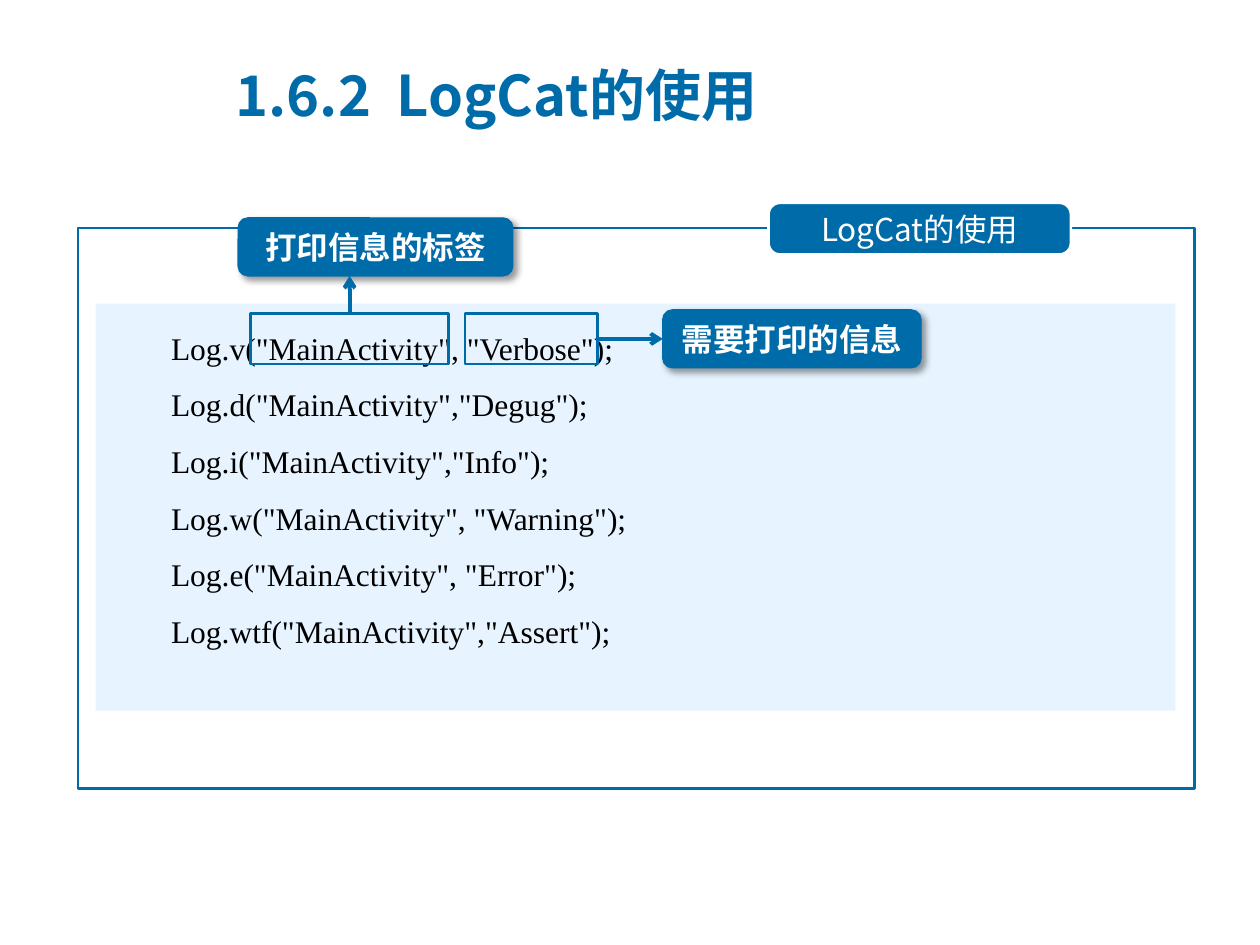
"""Build the LogCat usage slide with a code panel and two labelled callouts."""
import pptx
import pptx.util
from lxml import etree
from pptx.dml.color import RGBColor
from pptx.enum.shapes import MSO_CONNECTOR, MSO_SHAPE
from pptx.enum.text import MSO_ANCHOR, MSO_AUTO_SIZE, PP_ALIGN
from pptx.oxml.ns import qn

BLUE = RGBColor(0x00, 0x6B, 0xA9)
PALE = RGBColor(0xE7, 0xF4, 0xFF)
WHITE = RGBColor(0xFF, 0xFF, 0xFF)
BLACK = RGBColor(0x00, 0x00, 0x00)
SANS, SERIF, LABEL = "Noto Sans CJK SC", "Times New Roman", "Calibri"

TITLE = "1.6.2  LogCat的使用"
TAB_TEXT = "LogCat的使用"
CODE = [
    '        Log.v("MainActivity", "Verbose");',
    '        Log.d("MainActivity","Degug");',
    '        Log.i("MainActivity","Info");',
    '        Log.w("MainActivity", "Warning");',
    '        Log.e("MainActivity", "Error");',
    '        Log.wtf("MainActivity","Assert");',
]
TAG_TEXT = "打印信息的标签"
MESSAGE_TEXT = "需要打印的信息"

# Left, top, width and height in hundredths of the slide width
TITLE_BOX = (17.7, 4.4, 77.2, 6.1)
FRAME_BOX = (6.2, 18.1, 88.6, 44.5)
TAB_BOX = (61, 16.1, 24, 4.1)
CODE_BOX = (7.6, 24.1, 85.7, 32.3)
TAG_MARK = (19.9, 24.9, 15.7, 4)
MESSAGE_MARK = (36.9, 24.9, 10.5, 4)
TAG_CALLOUT = (18.9, 17.3, 21.8, 4.6)
MESSAGE_CALLOUT = (52.6, 24.6, 20.5, 4.6)

presentation = pptx.Presentation()
presentation.slide_width = pptx.util.Inches(10)
presentation.slide_height = pptx.util.Inches(7.5)
slide = presentation.slides.add_slide(presentation.slide_layouts[5])


def grid(*units):
    return [round(unit * presentation.slide_width / 100) for unit in units]


def add_box(kind, box, fill=None, line=None, width=1.5):
    shape = slide.shapes.add_shape(kind, *grid(*box))
    shape.shadow.inherit = False
    for target, color in ((shape.fill, fill), (shape.line.fill, line)):
        if color is None:
            target.background()
        else:
            target.solid()
            target.fore_color.rgb = color
    if line is not None:
        shape.line.width = pptx.util.Pt(width)
    return shape


def write(shape, text, font, size, color, align=PP_ALIGN.CENTER, anchor=MSO_ANCHOR.MIDDLE,
          bold=False, spacing=None):
    frame = shape.text_frame
    frame.text = text
    frame.word_wrap = True
    frame.auto_size = MSO_AUTO_SIZE.NONE
    frame.vertical_anchor = anchor
    for paragraph in frame.paragraphs:
        paragraph.alignment = align
        paragraph.line_spacing = spacing
        for run in paragraph.runs:
            run.font.name = font
            run.font.size = pptx.util.Pt(size)
            run.font.bold = bold
            run.font.color.rgb = color
            if font == SANS:
                latin = run.font._element.find(qn("a:latin"))
                latin.addnext(latin.makeelement(qn("a:ea"), {"typeface": font}))


def add_callout(box, text):
    shape = add_box(MSO_SHAPE.ROUNDED_RECTANGLE, box, BLUE, BLUE, 0.75)
    write(shape, text, LABEL, 18, WHITE, bold=True)
    effects = shape._element.spPr.find(qn("a:effectLst"))
    shadow = etree.SubElement(effects, qn("a:outerShdw"), blurRad=str(pptx.util.Pt(4)),
                              dist=str(pptx.util.Pt(3)), dir="2700000", algn="tl", rotWithShape="0")
    color = etree.SubElement(shadow, qn("a:srgbClr"), val="000000")
    etree.SubElement(color, qn("a:alpha"), val="40000")
    return shape


def add_arrow(start, site, end):
    connector = slide.shapes.add_connector(MSO_CONNECTOR.STRAIGHT, 0, 0, *end)
    connector.begin_connect(start, site)
    connector.line.color.rgb = BLUE
    connector.line.width = pptx.util.Pt(2.25)
    properties = connector._element.spPr
    etree.SubElement(properties.find(qn("a:ln")), qn("a:tailEnd"), type="arrow")
    etree.SubElement(properties, qn("a:effectLst"))
    return connector


title = slide.shapes.title
title.left, title.top, title.width, title.height = grid(*TITLE_BOX)
write(title, TITLE, SANS, 32, BLUE, PP_ALIGN.LEFT, bold=True)
indent = grid(6.2)[0]
title_properties = title.text_frame.paragraphs[0]._p.get_or_add_pPr()
title_properties.set("marL", str(indent))
title_properties.set("indent", str(-indent))

add_box(MSO_SHAPE.RECTANGLE, FRAME_BOX, line=BLUE)
tab = add_box(MSO_SHAPE.ROUNDED_RECTANGLE, TAB_BOX, BLUE, WHITE)
tab.adjustments[0] = 0.22
write(tab, TAB_TEXT, SANS, 18, WHITE)

panel = add_box(MSO_SHAPE.RECTANGLE, CODE_BOX, PALE)
write(panel, "\n".join(CODE), SERIF, 18, BLACK, PP_ALIGN.LEFT, MSO_ANCHOR.TOP, spacing=1.5)

tag_mark = add_box(MSO_SHAPE.RECTANGLE, TAG_MARK, line=BLUE)
message_mark = add_box(MSO_SHAPE.RECTANGLE, MESSAGE_MARK, line=BLUE)
tag_callout = add_callout(TAG_CALLOUT, TAG_TEXT)
message_callout = add_callout(MESSAGE_CALLOUT, MESSAGE_TEXT)

add_arrow(tag_mark, 0, (tag_mark.left + tag_mark.width // 2, tag_callout.top + tag_callout.height))
message_middle = message_callout.top + message_callout.height // 2
message_arrow = add_arrow(message_mark, 3, (message_callout.left, message_middle))
message_arrow.end_connect(message_callout, 1)

presentation.save("out.pptx")
